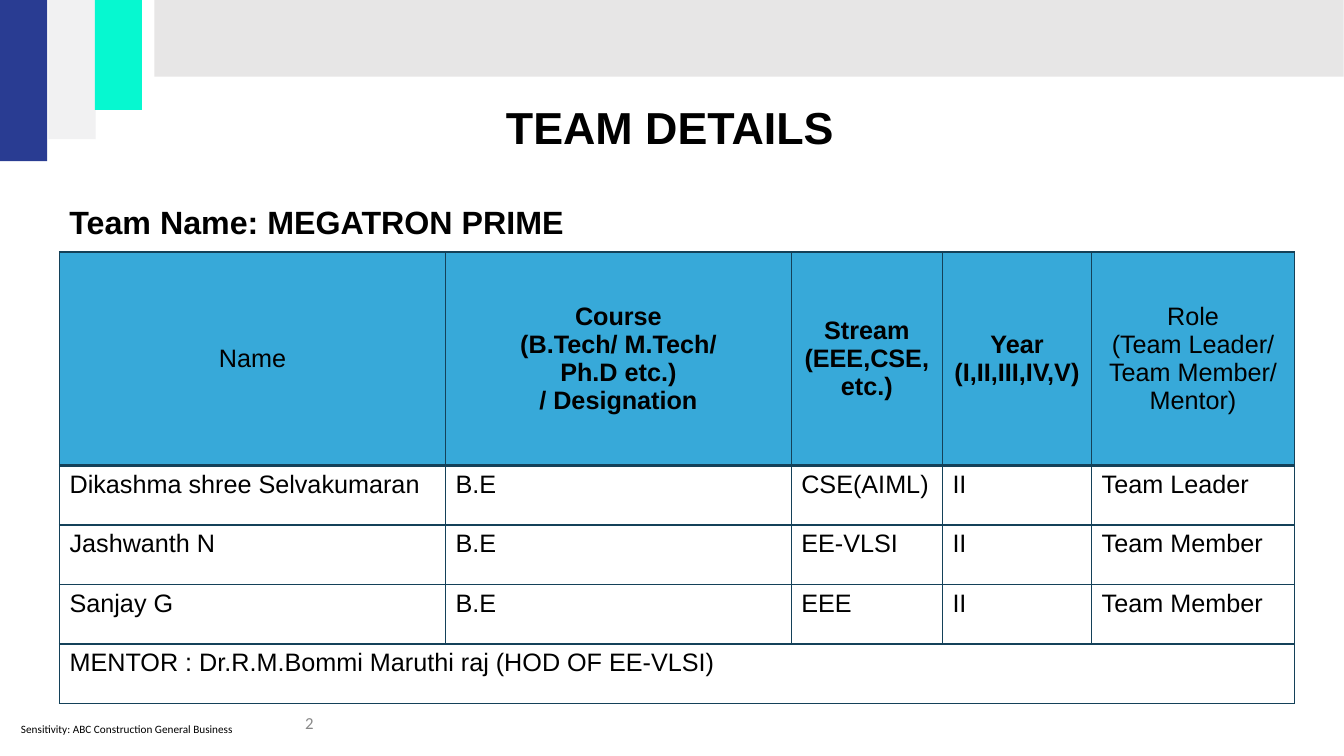
from lxml import etree
from pptx import Presentation
from pptx.dml.color import RGBColor
from pptx.enum.shapes import MSO_SHAPE
from pptx.enum.text import MSO_ANCHOR, PP_ALIGN
from pptx.oxml.ns import qn
from pptx.util import Cm, Pt

RECT = MSO_SHAPE.RECTANGLE
TOP, MIDDLE = MSO_ANCHOR.TOP, MSO_ANCHOR.MIDDLE
LEFT, CENTER = PP_ALIGN.LEFT, PP_ALIGN.CENTER

COLORS = {
    "text": "000000",
    "muted": "888888",
    "white": "FFFFFF",
    "band": "E7E6E6",
    "navy": "293C92",
    "pale": "F1F1F2",
    "mint": "06F8D0",
    "header": "37A9D9",
    "border": "144159",
}

BARS = [
    (3.89, 0, 29.97, 1.93, "band"),
    (0, 0, 1.19, 4.06, "navy"),
    (1.22, 0, 1.19, 3.51, "pale"),
    (2.39, 0, 1.19, 2.77, "mint"),
]

HEADERS = [
    "Name",
    "Course\n(B.Tech/ M.Tech/\nPh.D etc.)\n/ Designation",
    "Stream (EEE,CSE, etc.)",
    "Year\n(I,II,III,IV,V)",
    "Role\n(Team Leader/ Team Member/ Mentor)",
]
BOLD_HEADERS = HEADERS[1:4]
MEMBERS = [
    ["Dikashma shree Selvakumaran", "B.E", "CSE(AIML)", "II", "Team Leader"],
    ["Jashwanth N", "B.E", "EE-VLSI", "II", "Team Member"],
    ["Sanjay G", "B.E", "EEE", "II", "Team Member"],
]
MENTOR = "MENTOR : Dr.R.M.Bommi Maruthi raj (HOD OF EE-VLSI)"
COL_WIDTHS = [9.73, 8.71, 3.81, 3.76, 5.11]
ROW_HEIGHTS = [5.38] + [1.5] * 4


class SlideBuilder:
    def __init__(self, slide, font="Arial"):
        self.slide = slide
        self.font = font

    def color(self, name):
        return RGBColor.from_string(COLORS[name])

    def set_text(self, tf, text, size, bold=False, color="text", align=LEFT,
                 font=None, spacing=None):
        tf.text = text
        for p in tf.paragraphs:
            p.alignment = align
            p.line_spacing = spacing
            for r in p.runs:
                r.font.name = font or self.font
                r.font.size = Pt(size)
                r.font.bold = bold
                r.font.color.rgb = self.color(color)

    def bar(self, x, y, w, h, fill):
        sp = self.slide.shapes.add_shape(RECT, Cm(x), Cm(y), Cm(w), Cm(h))
        sp.shadow.inherit = False
        sp.fill.solid()
        sp.fill.fore_color.rgb = self.color(fill)
        sp.line.fill.background()

    def text(self, x, y, w, h, text, size, anchor=TOP, inset=True, **style):
        sp = self.slide.shapes.add_textbox(Cm(x), Cm(y), Cm(w), Cm(h))
        tf = sp.text_frame
        tf.word_wrap = True
        tf.vertical_anchor = anchor
        if not inset:
            tf.margin_left = tf.margin_right = 0
            tf.margin_top = tf.margin_bottom = 0
        self.set_text(tf, text, size, **style)

    def borders(self, cell, widths):
        tcPr = cell._tc.get_or_add_tcPr()
        for i, (side, width) in enumerate(zip("LRTB", widths)):
            ln = etree.Element(qn(f"a:ln{side}"), w=str(Pt(width)))
            fill = etree.SubElement(ln, qn("a:solidFill"))
            etree.SubElement(fill, qn("a:srgbClr"), val=COLORS["border"])
            tcPr.insert(i, ln)

    def table(self, x, y, col_widths, row_heights, rows):
        frame = self.slide.shapes.add_table(
            len(row_heights), len(col_widths), Cm(x), Cm(y),
            Cm(sum(col_widths)), Cm(sum(row_heights)))
        table = frame.table
        for col, width in zip(table.columns, col_widths):
            col.width = Cm(width)
        for row, height in zip(table.rows, row_heights):
            row.height = Cm(height)
        for i, row in enumerate(rows):
            header = i == 0
            for j, text in enumerate(row):
                cell = table.cell(i, j)
                cell.fill.solid()
                cell.fill.fore_color.rgb = self.color("header" if header else "white")
                cell.vertical_anchor = MIDDLE if header else TOP
                self.set_text(cell.text_frame, text, 18,
                              bold=header and text in BOLD_HEADERS,
                              align=CENTER if header else LEFT)
                self.borders(cell, (1, 1, 2 if i == 1 else 1, 2 if header else 1))
        return table


def main():
    prs = Presentation()
    prs.slide_width, prs.slide_height = Cm(33.87), Cm(19.05)
    s = SlideBuilder(prs.slides.add_slide(prs.slide_layouts[6]))

    s.text(0.53, 18.19, 5.6, 0.33, "Sensitivity: ABC Construction General Business",
           8, inset=False, font="Calibri")
    for bar in BARS:
        s.bar(*bar)
    s.text(3.84, 1.93, 26.09, 2.67, "TEAM DETAILS", 32, anchor=MIDDLE,
           bold=True, align=CENTER, spacing=0.9)
    s.text(1.5, 5.08, 17.32, 1.83, "Team Name: MEGATRON PRIME", 23,
           bold=True, spacing=0.9)
    s.text(7.44, 17.7, 7.62, 1.04, "2", 12, anchor=MIDDLE,
           color="muted", font="Calibri")

    mentor_row = [MENTOR] + [""] * (len(HEADERS) - 1)
    table = s.table(1.5, 6.35, COL_WIDTHS, ROW_HEIGHTS,
                    [HEADERS, *MEMBERS, mentor_row])
    table.cell(4, 0).merge(table.cell(4, 4))

    prs.save("out.pptx")


if __name__ == "__main__":
    main()
